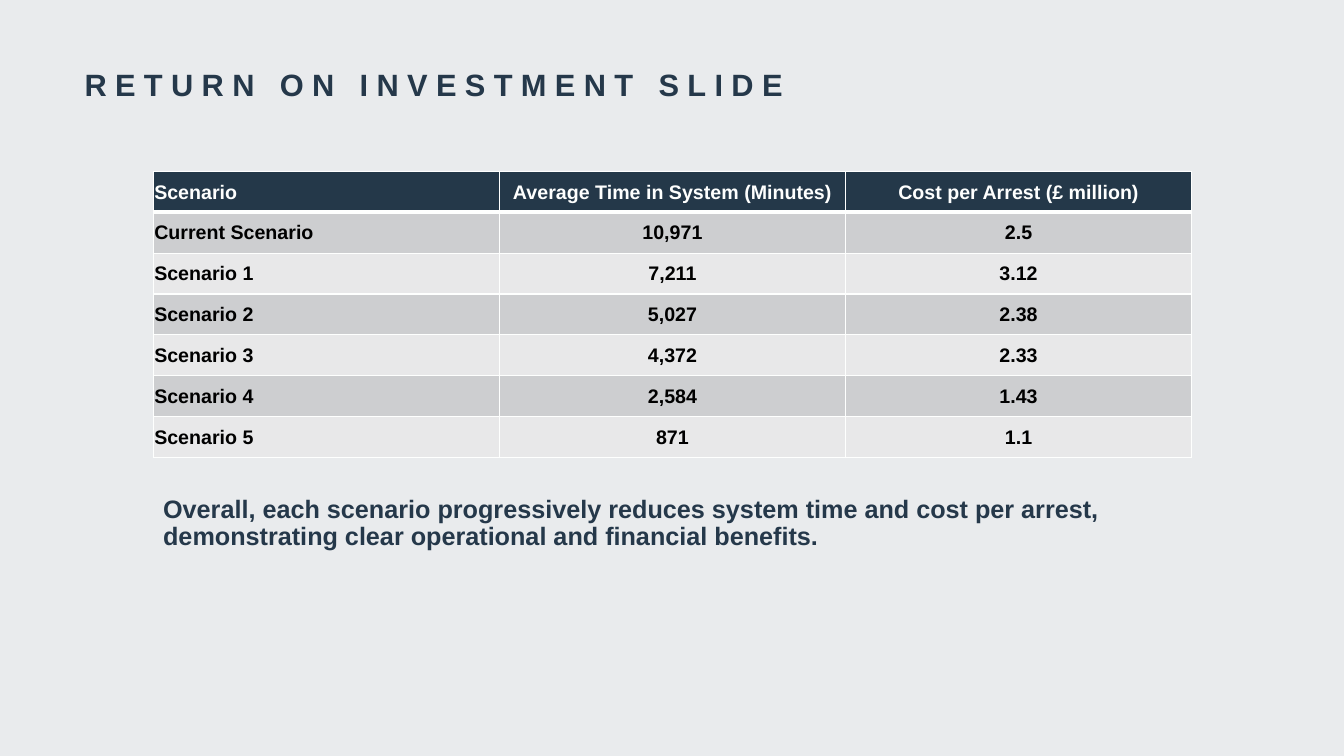
import dataclasses

import pptx
import pptx.dml.color
import pptx.enum.text
import pptx.oxml
import pptx.oxml.ns
import pptx.util

Inches = pptx.util.Inches
Pt = pptx.util.Pt
Align = pptx.enum.text.PP_ALIGN
Anchor = pptx.enum.text.MSO_ANCHOR


@dataclasses.dataclass(frozen=True)
class Theme:
    font: str = "Arial"
    background: str = "E9EBED"
    heading: str = "25384A"
    header_fill: str = "243849"
    white: str = "FEFFFE"
    table_text: str = "000000"
    bands: tuple = ("CDCED0", "E8E8E9")
    title_size: int = 22
    summary_size: int = 18
    table_size: int = 14
    thin_line: int = 1
    thick_line: int = 3


def set_attributes(target, values):
    for name, value in values.items():
        setattr(target, name, value)


def rgb(color):
    return pptx.dml.color.RGBColor.from_string(color)


class SlideBuilder:
    def __init__(self, slide, theme):
        self.slide = slide
        self.theme = theme

    def background(self):
        fill = self.slide.background.fill
        fill.solid()
        fill.fore_color.rgb = rgb(self.theme.background)

    def add_bold_run(self, paragraph, text, size, color, spacing=0, **layout):
        """Fill a paragraph with one bold run; spacing is in points per letter."""
        set_attributes(paragraph, layout)
        run = paragraph.add_run()
        run.text = text
        set_attributes(run.font, {"name": self.theme.font, "size": Pt(size), "bold": True})
        run.font.color.rgb = rgb(color)
        if spacing:
            run.font._element.set("spc", str(spacing * 100))

    def text(self, box, text, size, anchor=Anchor.TOP, **layout):
        shape = self.slide.shapes.add_textbox(*map(Inches, box))
        set_attributes(shape.text_frame, {"word_wrap": True, "vertical_anchor": anchor})
        self.add_bold_run(shape.text_frame.paragraphs[0], text, size,
                          self.theme.heading, **layout)

    def borders(self, cell, widths):
        properties = cell._tc.get_or_add_tcPr()
        for side, width in widths.items():
            properties.append(pptx.oxml.parse_xml(
                f'<a:ln{side} {pptx.oxml.ns.nsdecls("a")} w="{Pt(width)}">'
                f'<a:solidFill><a:srgbClr val="{self.theme.white}"/></a:solidFill>'
                f'</a:ln{side}>'))

    def table(self, box, rows):
        theme = self.theme
        frame = self.slide.shapes.add_table(len(rows), len(rows[0]), *map(Inches, box))
        for row_index, row in enumerate(rows):
            is_header = row_index == 0
            fill = theme.header_fill if is_header else theme.bands[(row_index - 1) % 2]
            color = theme.white if is_header else theme.table_text
            widths = {
                "L": theme.thin_line,
                "R": theme.thin_line,
                "T": theme.thick_line if row_index == 1 else theme.thin_line,
                "B": theme.thick_line if is_header else theme.thin_line,
            }
            for column_index, text in enumerate(row):
                cell = frame.table.cell(row_index, column_index)
                set_attributes(cell, {
                    "margin_left": Inches(0.01), "margin_right": Inches(0.01),
                    "margin_top": Inches(0.01), "margin_bottom": 0,
                    "vertical_anchor": Anchor.MIDDLE,
                })
                self.borders(cell, widths)
                cell.fill.solid()
                cell.fill.fore_color.rgb = rgb(fill)
                self.add_bold_run(cell.text_frame.paragraphs[0], text, theme.table_size, color,
                                  alignment=Align.CENTER if column_index else Align.LEFT)


SCENARIOS = [
    ("Scenario", "Average Time in System (Minutes)", "Cost per Arrest (£ million)"),
    ("Current Scenario", "10,971", "2.5"),
    ("Scenario 1", "7,211", "3.12"),
    ("Scenario 2", "5,027", "2.38"),
    ("Scenario 3", "4,372", "2.33"),
    ("Scenario 4", "2,584", "1.43"),
    ("Scenario 5", "871", "1.1"),
]


def main():
    presentation = pptx.Presentation()
    set_attributes(presentation, {"slide_width": Inches(13.33), "slide_height": Inches(7.5)})
    theme = Theme()
    builder = SlideBuilder(presentation.slides.add_slide(presentation.slide_layouts[6]), theme)
    builder.background()
    builder.text((0.74, 0.54, 9.4, 0.59), "RETURN ON INVESTMENT SLIDE",
                 theme.title_size, Anchor.MIDDLE, spacing=6)
    builder.text((1.52, 4.88, 10.3, 0.43),
                 "Overall, each scenario progressively reduces system time and cost per arrest, "
                 "demonstrating clear operational and financial benefits.",
                 theme.summary_size, line_spacing=0.9)
    builder.table((1.52, 1.7, 10.3, 2.84), SCENARIOS)
    presentation.save("out.pptx")


if __name__ == "__main__":
    main()
